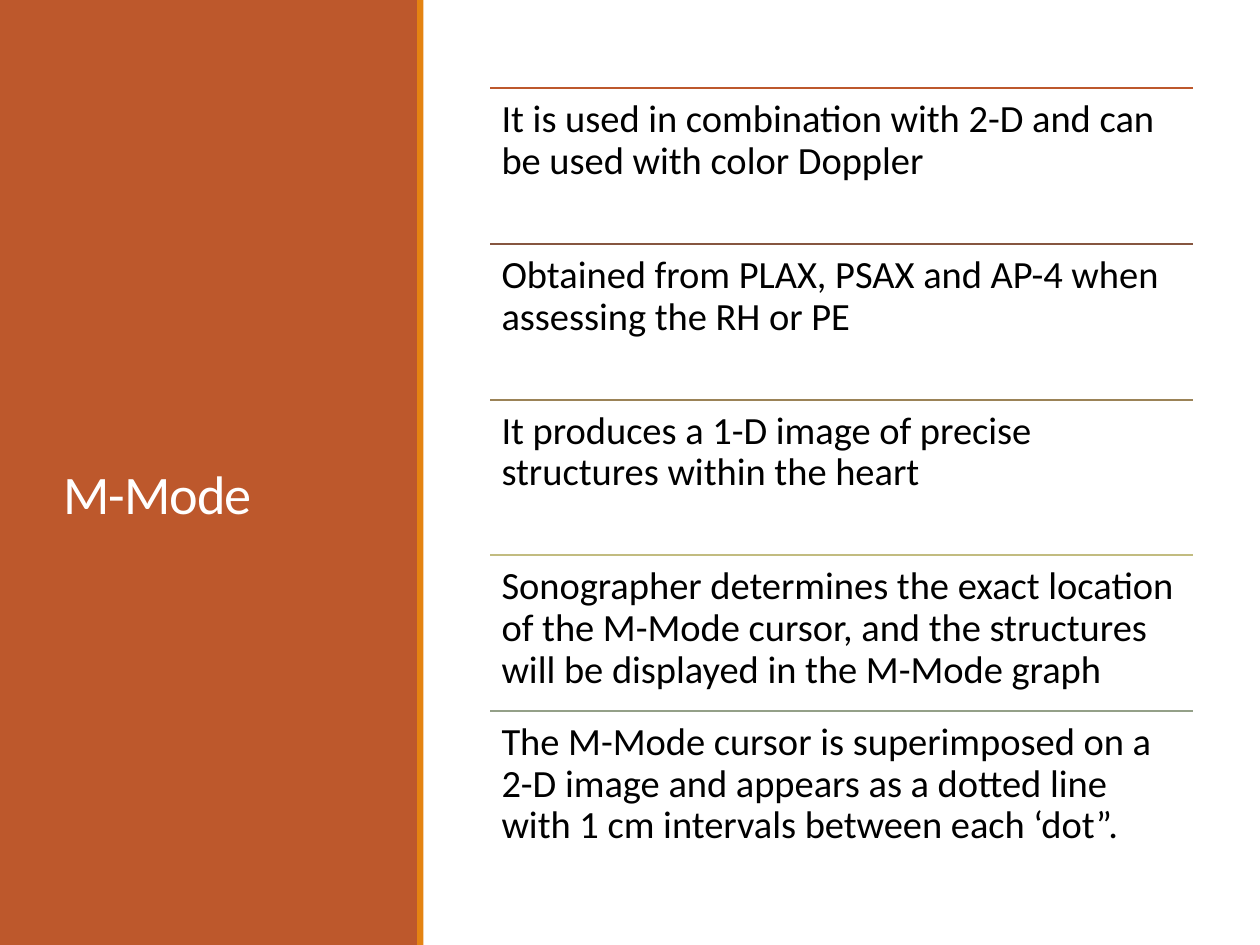
from dataclasses import dataclass

from lxml.etree import SubElement
from pptx import Presentation
from pptx.dml.color import RGBColor as Color
from pptx.enum.shapes import MSO_CONNECTOR as Connector, MSO_SHAPE as Shape
from pptx.enum.text import MSO_ANCHOR as Anchor, MSO_AUTO_SIZE as AutoSize, PP_ALIGN as Align
from pptx.oxml.ns import qn
from pptx.util import Inches, Pt


@dataclass(frozen=True)
class Theme:
    font: str = "Calibri"
    title_size: float = 31
    body_size: float = 22
    rule_width: float = 1.25
    panel: str = "BD582C"
    accent: str = "E48312"
    title: str = "FFFFFF"
    body: str = "000000"


THEME = Theme()

# Each statement with the colour of the rule above it
STATEMENTS = [
    ("BD582C", "It is used in combination with 2-D and can be used with color Doppler"),
    ("865640", "Obtained from PLAX, PSAX and AP-4 when assessing the RH or PE"),
    ("9B8357", "It produces a 1-D image of precise structures within the heart"),
    ("C2BC80", "Sonographer determines the exact location of the M-Mode cursor, "
               "and the structures will be displayed in the M-Mode graph"),
    ("94A088", "The M-Mode cursor is superimposed on a 2-D image and appears as "
               "a dotted line with 1 cm intervals between each ‘dot”."),
]


def style_font(font, size, color):
    font.name = THEME.font
    font.size = Pt(size)
    font.color.rgb = Color.from_string(color)


def add_block(page, left, top, width, height, color):
    """Add a plain filled rectangle."""
    block = page.shapes.add_shape(Shape.RECTANGLE, left, top, width, height)
    block.shadow.inherit = False
    block.fill.solid()
    block.fill.fore_color.rgb = Color.from_string(color)
    block.line.fill.background()


def add_rule(page, left, top, width, color):
    rule = page.shapes.add_connector(Connector.STRAIGHT, left, top, left + width, top)
    rule.line.color.rgb = Color.from_string(color)
    rule.line.width = Pt(THEME.rule_width)
    SubElement(rule._element.spPr, qn("a:effectLst"))


def add_title_panel(page, left, top, width, height, text):
    """Draw the coloured side panel and set the title on it."""
    strip = Inches(0.05)
    add_block(page, left, top, width - strip, height, THEME.panel)
    add_block(page, left + width - strip, top, strip, height, THEME.accent)

    title = page.shapes.title
    title.left, title.top = left + Inches(0.4), top + Inches(0.57)
    title.width, title.height = Inches(2.53), Inches(6.31)
    frame = title.text_frame
    frame.text = text
    frame.word_wrap = True
    frame.auto_size = AutoSize.NONE
    frame.vertical_anchor = Anchor.MIDDLE
    frame.margin_top = Inches(0.5)  # sets the title a little below the middle
    para = frame.paragraphs[0]
    para.alignment = Align.LEFT
    para.line_spacing = 0.85
    style_font(para.font, THEME.title_size, THEME.title)
    para.runs[0].font._element.set("spc", "-50")
    page.shapes._spTree.append(title._element)  # bring in front of the panel


def add_statement(page, left, top, width, height, color, text):
    add_rule(page, left, top, width, color)
    box = page.shapes.add_textbox(left, top, width, height)
    frame = box.text_frame
    frame.word_wrap = True
    frame.margin_left = frame.margin_right = Inches(0.09)
    frame.margin_top = frame.margin_bottom = Inches(0.09)
    frame.text = text
    para = frame.paragraphs[0]
    para.line_spacing = 0.9
    style_font(para.font, THEME.body_size, THEME.body)


def add_statement_list(page, left, top, width, height, statements):
    row_height = height // len(statements)
    for index, (color, text) in enumerate(statements):
        add_statement(page, left, top + index * row_height, width, row_height, color, text)


def main():
    deck = Presentation()
    deck.slide_width, deck.slide_height = Inches(10), Inches(7.5)
    page = deck.slides.add_slide(deck.slide_layouts.get_by_name("Title Only"))
    add_title_panel(page, 0, 0, Inches(3.36), deck.slide_height, "M-Mode")
    add_statement_list(page, Inches(3.89), Inches(0.7), Inches(5.58), Inches(6.18), STATEMENTS)
    deck.save("out.pptx")


if __name__ == "__main__":
    main()
